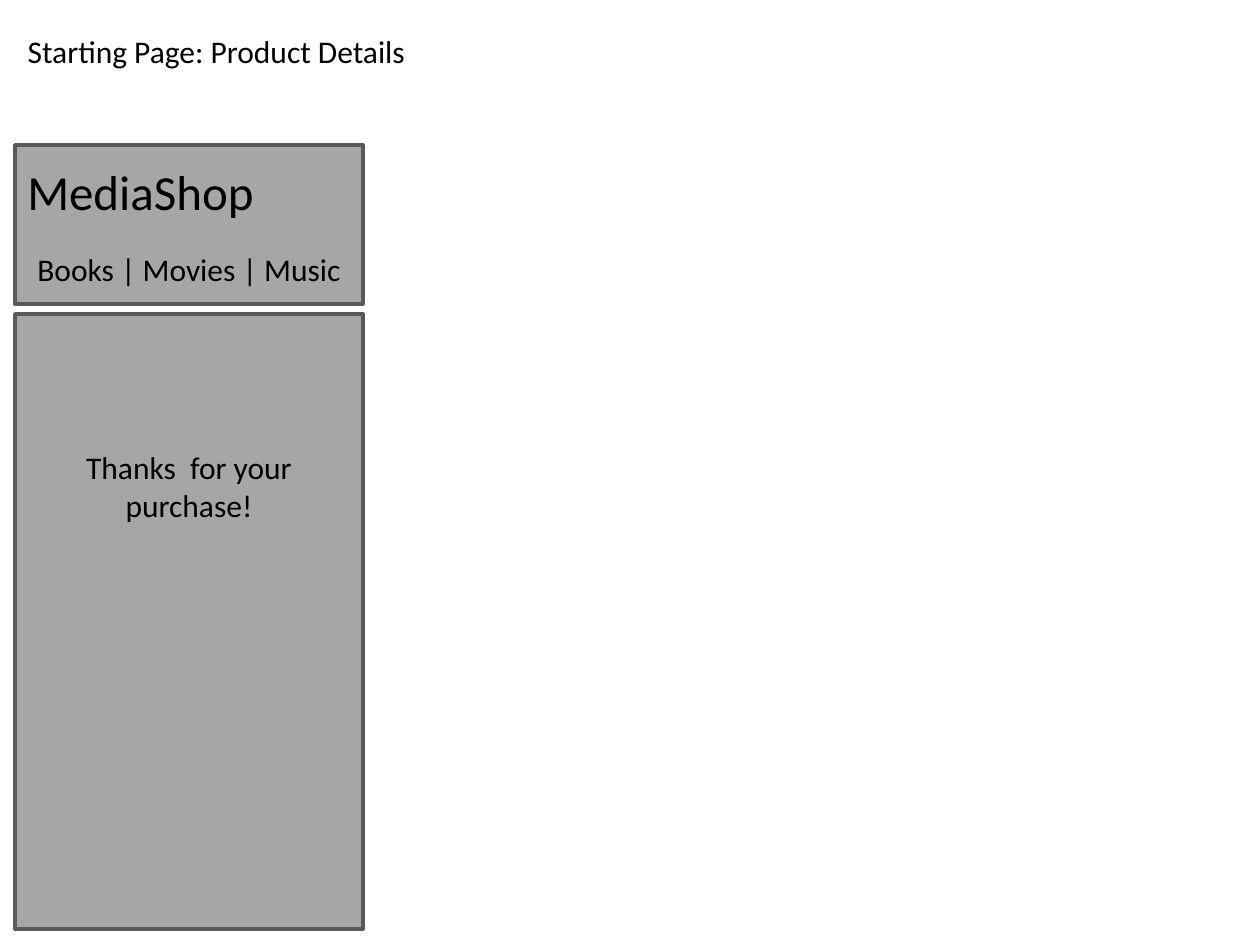
from pptx import Presentation, util as u
from pptx.dml import color
from pptx.enum import shapes, text

SCALE = u.Inches(1) // 126
FONT = "Calibri"
BLACK, GRAY, DARK_GRAY = "000000", "A6A6A6", "595959"


def rgb(value):
    """Turn a hex string into a colour."""
    return color.RGBColor.from_string(value)


def place(shape, left, top, width, height):
    """Set the bounds of a shape in pixels."""
    shape.left, shape.top = left * SCALE, top * SCALE
    shape.width, shape.height = width * SCALE, height * SCALE


def write(shape, content, size=18, wrap=False, align=text.PP_ALIGN.LEFT):
    """Fill a shape with one formatted paragraph."""
    frame = shape.text_frame
    frame.word_wrap = wrap
    frame.auto_size = text.MSO_AUTO_SIZE.SHAPE_TO_FIT_TEXT
    frame.vertical_anchor = text.MSO_ANCHOR.TOP
    paragraph = frame.paragraphs[0]
    paragraph.alignment = align
    run = paragraph.add_run()
    run.text = content
    run.font.name = FONT
    run.font.size = u.Pt(size)
    run.font.color.rgb = rgb(BLACK)


def add_label(slide, box, content, **style):
    """Add a text box with formatted text."""
    shape = slide.shapes.add_textbox(0, 0, 0, 0)
    write(shape, content, **style)
    place(shape, *box)


def add_panel(slide, box):
    """Add a gray outlined rectangle."""
    panel = slide.shapes.add_shape(shapes.MSO_SHAPE.RECTANGLE, 0, 0, 0, 0)
    place(panel, *box)
    panel.shadow.inherit = False
    panel.fill.solid()
    panel.fill.fore_color.rgb = rgb(GRAY)
    panel.line.color.rgb = rgb(DARK_GRAY)
    panel.line.width = u.Pt(2)


def add_heading(slide, box):
    """Place the page title."""
    write(slide.shapes.title, "Starting Page: Product Details")
    place(slide.shapes.title, *box)


def add_shop_header(slide, box):
    """Draw the shop name and its menu."""
    left, top = box[:2]
    add_panel(slide, box)
    add_label(slide, (left, top + 10, 255, 72), "MediaShop", size=28)
    add_label(slide, (left + 10, top + 99, 339, 50), "Books | Movies | Music ")


def add_message(slide, box):
    """Draw the page body with its centred message."""
    left, top, width = box[:3]
    margin = 40
    add_panel(slide, box)
    add_label(slide, (left + margin, top + 128, width - 2 * margin, 89),
              "Thanks  for your purchase!", wrap=True, align=text.PP_ALIGN.CENTER)


presentation = Presentation()
presentation.slide_width, presentation.slide_height = u.Inches(10), u.Inches(7.5)
slide = presentation.slides.add_slide(presentation.slide_layouts[5])
add_heading(slide, (15, 26, 407, 50))
add_shop_header(slide, (15, 145, 348, 159))
add_message(slide, (15, 314, 348, 615))
presentation.save("out.pptx")
